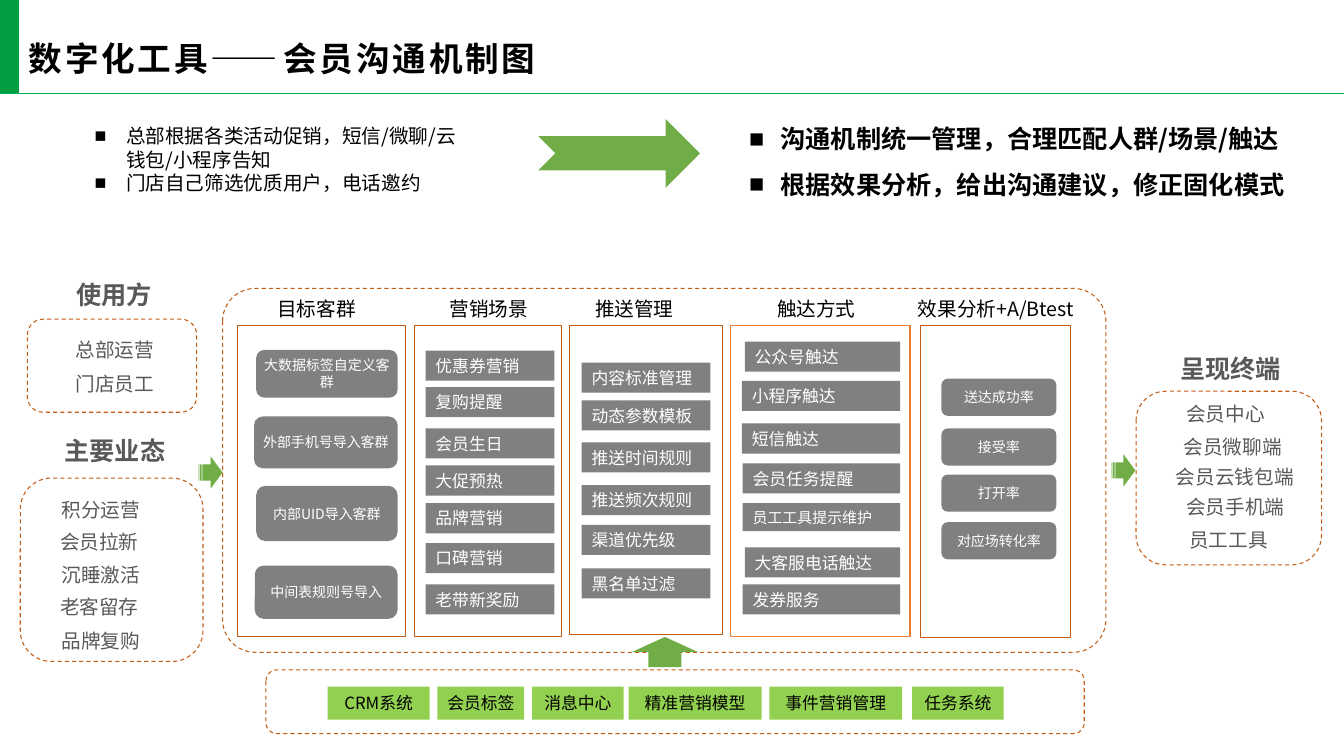
from lxml import etree
from pptx import Presentation
from pptx.dml.color import RGBColor
from pptx.enum.dml import MSO_LINE
from pptx.enum.shapes import MSO_CONNECTOR, MSO_SHAPE
from pptx.enum.text import MSO_ANCHOR, PP_ALIGN
from pptx.oxml.ns import qn
from pptx.util import Pt

FONT = "Noto Sans CJK SC"
BLACK = RGBColor(0x00, 0x00, 0x00)
WHITE = RGBColor(0xFF, 0xFF, 0xFF)
DARK_GRAY = RGBColor(0x59, 0x59, 0x59)
GRAY = RGBColor(0x80, 0x80, 0x80)
BAR_GREEN = RGBColor(0x02, 0x9E, 0x42)
RULE_GREEN = RGBColor(0x00, 0xB0, 0x50)
ARROW_GREEN = RGBColor(0x70, 0xAD, 0x47)
LIME = RGBColor(0x92, 0xD0, 0x50)
RUST = RGBColor(0xC5, 0x5A, 0x11)
ORANGE = RGBColor(0xED, 0x7D, 0x31)

RECT = MSO_SHAPE.RECTANGLE
ROUND = MSO_SHAPE.ROUNDED_RECTANGLE
STRIPED = MSO_SHAPE.STRIPED_RIGHT_ARROW
NOTCHED = MSO_SHAPE.NOTCHED_RIGHT_ARROW
UP = MSO_SHAPE.UP_ARROW
STRAIGHT = MSO_CONNECTOR.STRAIGHT
DASH = MSO_LINE.DASH
LEFT, CENTER = PP_ALIGN.LEFT, PP_ALIGN.CENTER
TOP, MIDDLE = MSO_ANCHOR.TOP, MSO_ANCHOR.MIDDLE

prs = Presentation()
prs.slide_width, prs.slide_height = Pt(960), Pt(540)
slide = prs.slides.add_slide(prs.slide_layouts[6])
shapes = slide.shapes


def add_box(kind, x, y, w, h, fill=None, line=None, weight=0.75, dash=None):
    box = shapes.add_shape(kind, Pt(x), Pt(y), Pt(w), Pt(h))
    box.shadow.inherit = False
    if fill is None:
        box.fill.background()
    else:
        box.fill.solid()
        box.fill.fore_color.rgb = fill
    if line is None:
        box.line.fill.background()
    else:
        box.line.color.rgb = line
        box.line.width = Pt(weight)
        box.line.dash_style = dash
    return box


def write(shape, lines, size, color, bold=False, align=LEFT, anchor=MIDDLE,
          inset=7.2, leading=1.2, bullets=False, tracking=0):
    """Fill a shape with paragraphs; leading is a multiple of the text size."""
    frame = shape.text_frame
    frame.word_wrap = True
    frame.vertical_anchor = anchor
    frame.margin_left = frame.margin_right = Pt(inset)
    frame.margin_top = frame.margin_bottom = Pt(3.6)
    frame.text = "\n".join(lines)
    for paragraph in frame.paragraphs:
        paragraph.alignment = align
        paragraph.line_spacing = Pt(round(size * leading, 1))
        props = paragraph._p.get_or_add_pPr()
        if bullets:
            props.set("marL", str(Pt(22.5)))
            props.set("indent", str(-Pt(22.5)))
            etree.SubElement(props, qn("a:buFont")).set("typeface", "Arial")
            etree.SubElement(props, qn("a:buChar")).set("char", "■")
        font = paragraph.font
        font.name, font.size, font.bold = FONT, Pt(size), bold
        font.color.rgb = color
        defaults = props.find(qn("a:defRPr"))
        etree.SubElement(defaults, qn("a:ea")).set("typeface", FONT)
        if tracking:
            defaults.set("spc", str(tracking * 100))


# Title band
add_box(RECT, 0, 0, 13.5, 67, fill=BAR_GREEN)
title = shapes.add_textbox(Pt(13.5), Pt(16), Pt(424), Pt(51))
write(title, ["数字化工具——会员沟通机制图"], 24, BLACK, bold=True, tracking=2)

# Header rule and the two dots above the system bar
for x1, x2, y, color in [(0, 960, 67, RULE_GREEN),
                         (408.5, 408.5, 488, RUST), (472.5, 472.5, 488, RUST)]:
    rule = shapes.add_connector(STRAIGHT, Pt(x1), Pt(y), Pt(x2), Pt(y))
    rule.line.color.rgb = color
    rule.line.width = Pt(1)
    etree.SubElement(rule._element.spPr, qn("a:effectLst"))

# Today and target
today = shapes.add_textbox(Pt(60.5), Pt(85), Pt(278.5), Pt(58))
write(today, ["总部根据各类活动促销，短信/微聊/云钱包/小程序告知",
              "门店自己筛选优质用户，电话邀约"],
      14, BLACK, anchor=TOP, bullets=True)
target = shapes.add_textbox(Pt(528), Pt(74), Pt(399), Pt(105))
write(target, ["沟通机制统一管理，合理匹配人群/场景/触达",
               "根据效果分析，给出沟通建议，修正固化模式"],
      18, BLACK, bold=True, anchor=TOP, leading=1.8, bullets=True)

# Dashed frames: x, y, width, height, corner
for x, y, w, h, corner in [(190, 478.5, 584.5, 45.5, 0.17),
                           (159, 206, 631, 260, 0.09),
                           (19.5, 228, 121, 66.5, 0.17),
                           (14.5, 341.5, 130.5, 131, 0.17),
                           (811.5, 279.5, 132.5, 124, 0.17)]:
    frame_box = add_box(ROUND, x, y, w, h, line=RUST, dash=DASH)
    frame_box.adjustments[0] = corner

for kind, x, y, w, h in [(NOTCHED, 384.5, 85, 115.5, 49),
                         (STRIPED, 142, 326, 17, 23),
                         (STRIPED, 794, 324.5, 17, 23),
                         (UP, 451.5, 455, 47, 21.5)]:
    add_box(kind, x, y, w, h, fill=ARROW_GREEN)

# Side groups: heading, centre, top, entries as (text, centre, top)
side_groups = [
    ("使用方", 81.5, 196, [("总部运营", 82, 237.5), ("门店员工", 82, 261.5)]),
    ("主要业态", 82, 307.5, [
        ("积分运营", 72, 351.5), ("会员拉新", 71, 374.5), ("沉睡激活", 72, 398),
        ("老客留存", 71, 421), ("品牌复购", 72, 445.5)]),
    ("呈现终端", 879, 249, [
        ("会员中心", 875.5, 283), ("会员微聊端", 880.5, 306.5),
        ("会员云钱包端", 882, 328.5), ("会员手机端", 882.5, 349.5),
        ("员工工具", 877.5, 373)]),
]
for heading, center, top, entries in side_groups:
    heading_box = shapes.add_textbox(Pt(center - 55), Pt(top), Pt(110), Pt(28))
    write(heading_box, [heading], 18, DARK_GRAY, bold=True, align=CENTER)
    for entry, entry_center, entry_top in entries:
        entry_box = shapes.add_textbox(Pt(entry_center - 52), Pt(entry_top),
                                       Pt(104), Pt(24.5))
        write(entry_box, [entry], 14, DARK_GRAY, align=CENTER)

# Process columns: heading, heading left, heading width, frame left,
# frame width, frame height, frame colour, frame weight, item shape,
# items' right edge, items as (text, left, top, height, size)
scenes = zip(["优惠券营销", "复购提醒", "会员生日", "大促预热", "品牌营销", "口碑营销", "老带新奖励"],
             [250.5, 276.5, 306, 332.5, 359.5, 388, 417.5])
pushes = zip(["内容标准管理", "动态参数模板", "推送时间规则", "推送频次规则", "渠道优先级", "黑名单过滤"],
             [259, 286, 316, 346.5, 375, 406])
rates = zip(["送达成功率", "接受率", "打开率", "对应场转化率"],
            [270.5, 306, 339, 373])
columns = [
    ("目标客群", 191, 106, 169.5, 120, 222, RUST, 0.5, ROUND, 284, [
        ("大数据标签自定义客群", 183, 250, 34, 10),
        ("外部手机号导入客群", 181.5, 297.5, 37, 10),
        ("内部UID导入客群", 183, 347, 39.5, 10),
        ("中间表规则号导入", 182, 404, 38, 10)]),
    ("营销场景", 314, 87, 296, 105, 222, RUST, 0.5, RECT, 396,
     [(text, 304, top, 21.5, 12) for text, top in scenes]),
    ("推送管理", 418, 89, 407, 109, 221, RUST, 0.5, RECT, 507.5,
     [(text, 415.5, top, 21.5, 12) for text, top in pushes]),
    ("触达方式", 548, 94, 522, 128, 222, ORANGE, 1, RECT, 643, [
        ("公众号触达", 532, 244, 21.5, 12),
        ("小程序触达", 530, 272, 21.5, 12),
        ("短信触达", 530, 302.5, 21.5, 12),
        ("会员任务提醒", 530.5, 331, 21.5, 12),
        ("员工工具提示维护", 530.5, 359.5, 20, 10.7),
        ("大客服电话触达", 532, 391, 21.5, 12),
        ("发券服务", 530.5, 417.5, 21.5, 12)]),
    ("效果分析+A/Btest", 648.5, 135, 657.5, 107, 223, RUST, 0.5, ROUND, 754.5,
     [(text, 672.5, top, 26.5, 10) for text, top in rates]),
]
for (heading, heading_left, heading_width, left, width, height, color, weight,
     kind, right, items) in columns:
    add_box(RECT, left, 232.5, width, height, line=color, weight=weight)
    heading_box = shapes.add_textbox(Pt(heading_left), Pt(208),
                                     Pt(heading_width), Pt(24.5))
    write(heading_box, [heading], 14, BLACK)
    for text, item_left, top, item_height, size in items:
        item = add_box(kind, item_left, top, right - item_left, item_height,
                       fill=GRAY)
        if kind == ROUND:
            write(item, [text], size, WHITE, align=CENTER, inset=3.6)
        else:
            write(item, [text], size, WHITE)

# Supporting systems
for system, left, width in [("CRM系统", 234, 73), ("会员标签", 312.5, 62),
                            ("消息中心", 380, 65.5), ("精准营销模型", 449, 95),
                            ("事件营销管理", 549.5, 95), ("任务系统", 651.5, 65.5)]:
    system_box = add_box(RECT, left, 490.5, width, 23.5, fill=LIME)
    write(system_box, [system], 12, BLACK, align=CENTER, inset=3.6)

prs.save("out.pptx")
